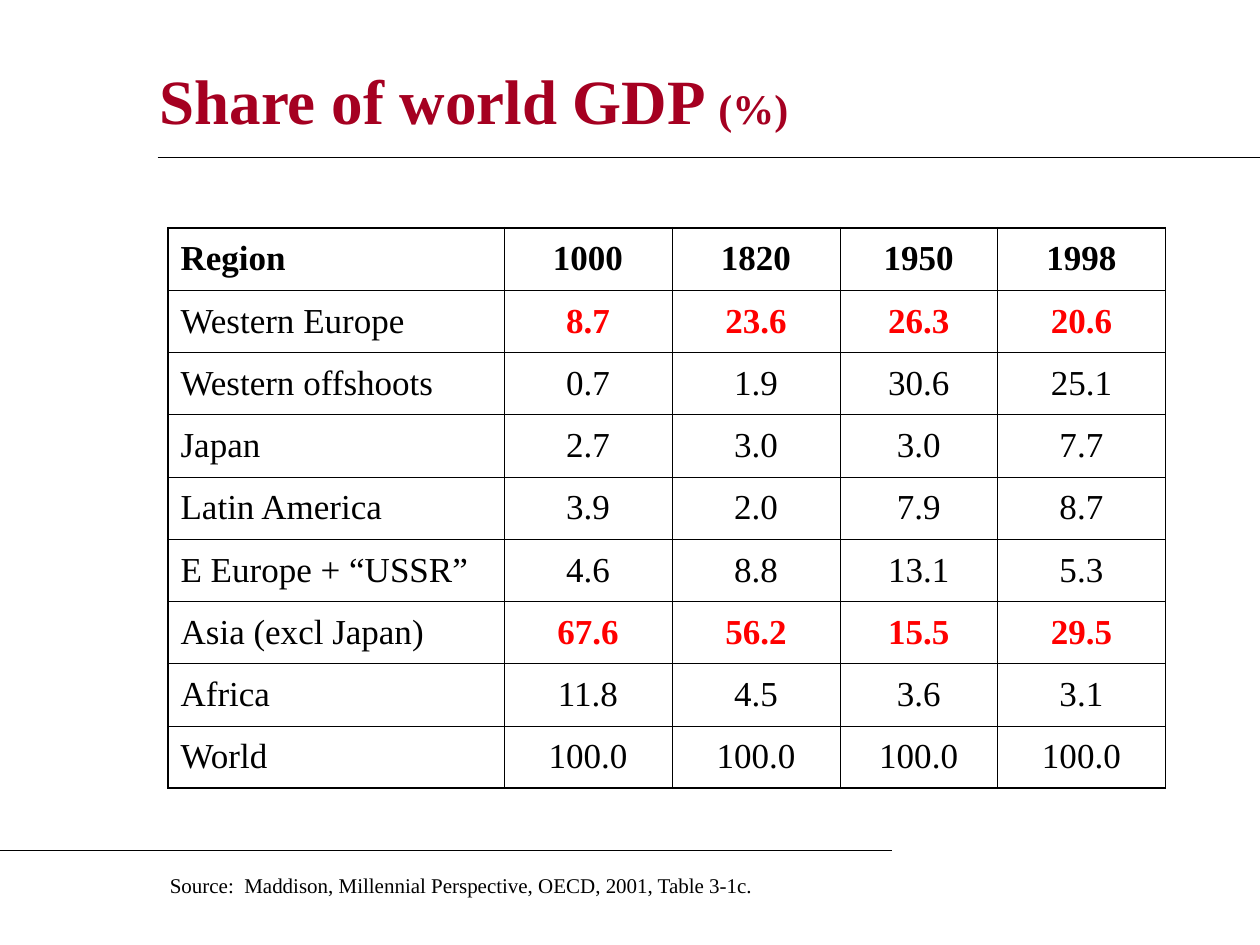
from lxml import etree
from pptx import Presentation, util as u
from pptx.dml import color
from pptx.enum import shapes, text
from pptx.oxml import ns


def paint(fill, tone):
    fill.solid()
    fill.fore_color.rgb = color.RGBColor.from_string(tone)


def write(para, words, size=20, tone="000000", bold=False, mid=False, gap=0):
    para.alignment = text.PP_ALIGN.CENTER if mid else text.PP_ALIGN.LEFT
    para.space_before = u.Pt(gap)
    run = para.add_run()
    run.text = words
    run.font.name = "Times New Roman"
    run.font.size = u.Pt(size)
    run.font.bold = bold
    paint(run.font.fill, tone)


deck = Presentation()
deck.slide_width, deck.slide_height = u.Inches(10), u.Inches(7.5)
slide = deck.slides.add_slide(deck.slide_layouts[5])
unit = deck.slide_width / 120

title = slide.shapes.title
title.left, title.top = int(14 * unit), int(6 * unit)
title.width, title.height = int(95 * unit), int(7 * unit)
frame = title.text_frame
frame.auto_size = text.MSO_AUTO_SIZE.NONE
frame.vertical_anchor = text.MSO_ANCHOR.MIDDLE
for words, size in (("Share of world GDP ", 36), ("(%)", 24)):
    write(frame.paragraphs[0], words, size=size, tone="A50021", bold=True)

for start, end, row in ((15, 120, 15), (0, 85, 81)):
    rule = slide.shapes.add_connector(
        shapes.MSO_CONNECTOR.STRAIGHT,
        int(start * unit), int(row * unit), int(end * unit), int(row * unit))
    rule.line.width = u.Pt(0.75)
    paint(rule.line.fill, "000000")
    etree.SubElement(rule._element.spPr, ns.qn("a:effectLst"))

rows = [
    ("Region", "1000", "1820", "1950", "1998"),
    ("Western Europe", "8.7", "23.6", "26.3", "20.6"),
    ("Western offshoots", "0.7", "1.9", "30.6", "25.1"),
    ("Japan", "2.7", "3.0", "3.0", "7.7"),
    ("Latin America", "3.9", "2.0", "7.9", "8.7"),
    ("E Europe + “USSR”", "4.6", "8.8", "13.1", "5.3"),
    ("Asia (excl Japan)", "67.6", "56.2", "15.5", "29.5"),
    ("Africa", "11.8", "4.5", "3.6", "3.1"),
    ("World", "100.0", "100.0", "100.0", "100.0"),
]
spans = (32, 16, 16, 15, 16)
high = 5.93
last, edge = len(rows) - 1, len(spans) - 1
table = slide.shapes.add_table(
    len(rows), len(spans), int(16 * unit), int(21.7 * unit),
    int(sum(spans) * unit), int(len(rows) * high * unit)).table
table.horz_banding = False
for col, span in zip(table.columns, spans):
    col.width = int(span * unit)

for r, row in enumerate(rows):
    table.rows[r].height = int(high * unit)
    for c, words in enumerate(row):
        cell = table.cell(r, c)
        cell.vertical_anchor = text.MSO_ANCHOR.MIDDLE
        key = c > 0 and row[0] in ("Western Europe", "Asia (excl Japan)")
        write(cell.text_frame.paragraphs[0], words, bold=r == 0 or key,
              tone="FF0000" if key else "000000", mid=c > 0, gap=5)
        props = cell._tc.get_or_add_tcPr()
        outer = {"L": c == 0, "R": c == edge, "T": r == 0, "B": r == last}
        for side, thick in outer.items():
            line = etree.SubElement(props, ns.qn("a:ln" + side),
                                    w=str(u.Pt(1.08 if thick else 0.45)))
            solid = etree.SubElement(line, ns.qn("a:solidFill"))
            etree.SubElement(solid, ns.qn("a:srgbClr"), val="000000")
        cell.fill.background()

note = slide.shapes.add_textbox(
    int(15 * unit), int(82.5 * unit), int(61 * unit), int(3.6 * unit))
note.text_frame.word_wrap = True
write(note.text_frame.paragraphs[0],
      "Source:  Maddison, Millennial Perspective, OECD, 2001, Table 3-1c.",
      size=12, gap=7.5)

deck.save("out.pptx")
